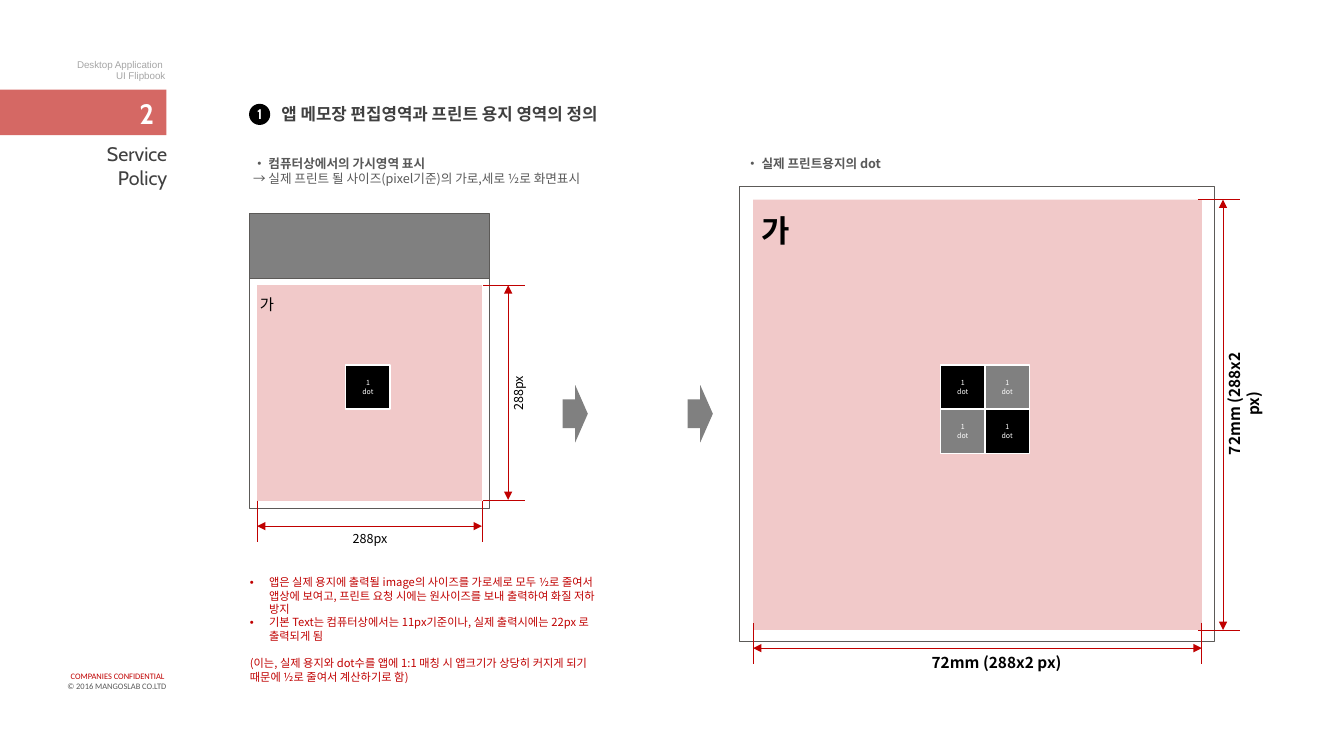
import pptx
import pptx.util
import pptx.dml.color
import pptx.enum.shapes
import pptx.enum.text
import pptx.oxml
import pptx.oxml.ns

PX = 9144
SANS = "Noto Sans CJK KR"
RED, GREY, BLACK, WHITE = "C00000", "808080", "000000", "FFFFFF"
FRAME, TEXT, DARK = "5C5A58", "595959", "404040"
SHAPES = pptx.enum.shapes.MSO_SHAPE
ALIGN = pptx.enum.text.PP_ALIGN
ANCHOR = pptx.enum.text.MSO_ANCHOR
NS = 'xmlns:a="http://schemas.openxmlformats.org/drawingml/2006/main"'


def px(*values):
    return [pptx.util.Emu(v * PX) for v in values]


def rgb(value):
    return pptx.dml.color.RGBColor.from_string(value)


def add_run(p, text, size, color, font=SANS, bold=False):
    r = p.add_run()
    r.text = text
    r.font.size = pptx.util.Pt(size)
    r.font.name = font
    r.font.bold = bold
    r.font.color.rgb = rgb(color)
    ea = pptx.oxml.parse_xml(f'<a:ea {NS} typeface="{SANS}"/>')
    r._r.rPr.find(pptx.oxml.ns.qn("a:latin")).addnext(ea)


def paragraphs(tf, count, align):
    for i in range(count):
        p = tf.paragraphs[0] if i == 0 else tf.add_paragraph()
        p.alignment = align
        yield p


def set_insets(tf, x, y):
    tf.margin_left, tf.margin_top, tf.margin_right, tf.margin_bottom = px(x, y, x, y)


def add_text(s, box, lines, align=ALIGN.LEFT, anchor=ANCHOR.TOP, insets=(0, 0),
             rotation=0, spacing=None):
    sp = s.shapes.add_textbox(*px(*box))
    sp.rotation = rotation
    tf = sp.text_frame
    tf.word_wrap = True
    tf.auto_size = pptx.enum.text.MSO_AUTO_SIZE.SHAPE_TO_FIT_TEXT
    tf.vertical_anchor = anchor
    set_insets(tf, *insets)
    for p, line in zip(paragraphs(tf, len(lines), align), lines):
        if spacing:
            p.line_spacing = pptx.util.Pt(spacing)
        add_run(p, *line)
    return tf


def add_shape(s, kind, box, fill, line=None, width=0.5, alpha=None):
    sp = s.shapes.add_shape(kind, *px(*box))
    sp.shadow.inherit = False
    sp.fill.solid()
    sp.fill.fore_color.rgb = rgb(fill)
    if alpha:
        color = sp._element.spPr.find(".//" + pptx.oxml.ns.qn("a:srgbClr"))
        color.append(pptx.oxml.parse_xml(f'<a:alpha {NS} val="{alpha * 1000}"/>'))
    if line:
        sp.line.color.rgb = rgb(line)
        sp.line.width = pptx.util.Pt(width)
    else:
        sp.line.fill.background()
    return sp


def label_shape(sp, lines, size, insets, font=SANS, bold=False):
    tf = sp.text_frame
    tf.vertical_anchor = ANCHOR.MIDDLE
    set_insets(tf, *insets)
    for p, text in zip(paragraphs(tf, len(lines), ALIGN.CENTER), lines):
        add_run(p, text, size, WHITE, font, bold)


def add_dot(s, x, y, fill):
    sp = add_shape(s, SHAPES.RECTANGLE, (x, y, 44, 44), fill, WHITE, 1)
    label_shape(sp, ["1", "dot"], 5, (10, 5))


def add_line(s, x1, y1, x2, y2, arrows=False):
    c = s.shapes.add_connector(pptx.enum.shapes.MSO_CONNECTOR.STRAIGHT, *px(x1, y1, x2, y2))
    c.line.color.rgb = rgb(RED)
    c.line.width = pptx.util.Pt(0.5)
    if arrows:
        ln = c.line._get_or_add_ln()
        for tag in ("headEnd", "tailEnd"):
            ln.append(pptx.oxml.parse_xml(f'<a:{tag} {NS} type="triangle"/>'))
    c._element.spPr.append(pptx.oxml.parse_xml(f"<a:effectLst {NS}/>"))


def add_width(s, left, right, y):
    add_line(s, left, y, right, y, True)
    for x in (left, right):
        add_line(s, x, y - 25, x, y + 16)


def add_height(s, x, top, bottom):
    add_line(s, x, bottom, x, top, True)
    for y in (bottom, top):
        add_line(s, x - 25, y, x + 17, y)


def add_caption(s, box, text, size, bold=False, align=ALIGN.CENTER, rotation=0):
    add_text(s, box, [(text, size, BLACK, SANS, bold)], align, insets=(10, 5), rotation=rotation)


def add_bullet(p):
    pPr = p._p.get_or_add_pPr()
    indent = 19 * PX
    pPr.set("marL", str(indent))
    pPr.set("indent", str(-indent))
    pPr.append(pptx.oxml.parse_xml(f'<a:buFont {NS} typeface="Arial"/>'))
    pPr.append(pptx.oxml.parse_xml(f'<a:buChar {NS} char="•"/>'))


def add_sidebar(s):
    add_shape(s, SHAPES.RECTANGLE, (0, 89, 165, 45), "D56864")
    add_text(s, (31, 95, 130, 34), [("2", 20, WHITE, "Cabin", True)],
             ALIGN.RIGHT, ANCHOR.BOTTOM, (8, 0))
    add_text(s, (-1, 666, 166, 20),
             [("COMPANIES CONFIDENTIAL ", 6, RED, "Calibri"),
              ("© 2016 MANGOSLAB CO.LTD", 6, TEXT, "Calibri")], ALIGN.RIGHT)
    add_text(s, (-1, 141, 167, 47),
             [(word, 14, DARK, "Cabin") for word in ("Service", "Policy")], ALIGN.RIGHT)
    add_text(s, (43, 59, 121, 22),
             [(text, 7, "A6A6A6", "Arial") for text in ("Desktop Application ", "UI Flipbook")],
             ALIGN.RIGHT, ANCHOR.BOTTOM, spacing=8)


def add_heading(s):
    add_text(s, (279, 103, 645, 20),
             [("앱 메모장 편집영역과 프린트 용지 영역의 정의", 12, DARK, "Arial", True)],
             anchor=ANCHOR.BOTTOM)
    badge = add_shape(s, SHAPES.OVAL, (247, 103, 21, 21), BLACK)
    label_shape(badge, ["1"], 10, (0, 0), "Cabin", True)


def add_screen(s):
    add_shape(s, SHAPES.RECTANGLE, (247, 276, 238, 228), WHITE, FRAME)
    add_shape(s, SHAPES.RECTANGLE, (247, 212, 238, 64), GREY, FRAME)
    add_width(s, 255, 478, 522)
    add_caption(s, (322, 522, 90, 25), "288px", 9)
    add_height(s, 504, 283, 496)
    add_caption(s, (468, 381, 86, 18), "288px", 9, rotation=270)
    add_shape(s, SHAPES.RECTANGLE, (255, 283, 223, 214), RED, alpha=21)
    tf = add_text(s, (251, 155, 384, 30),
                  [("• 컴퓨터상에서의 가시영역 표시 ", 9, TEXT, SANS, True)])
    p = tf.paragraphs[0]
    p.add_line_break()
    add_run(p, "→ 실제 프린트 될 사이즈(pixel기준)의 가로,세로 ½로 화면표시", 9, TEXT)
    add_dot(s, 343, 362, BLACK)
    add_caption(s, (248, 288, 62, 29), "가", 11, align=ALIGN.LEFT)


def add_paper(s):
    add_shape(s, SHAPES.RECTANGLE, (733, 185, 471, 451), WHITE, FRAME)
    add_shape(s, SHAPES.RECTANGLE, (747, 198, 445, 427), RED, alpha=21)
    add_text(s, (740, 155, 277, 15), [("• 실제 프린트용지의 dot", 9, TEXT, SANS, True)])
    add_width(s, 747, 1192, 643)
    add_caption(s, (906, 643, 165, 29), "72mm (288x2 px)", 11, True)
    add_height(s, 1213, 198, 625)
    add_caption(s, (1161, 377, 146, 47), "72mm (288x2 px)", 11, True, rotation=270)
    for row in range(2):
        for col in range(2):
            add_dot(s, 933 + 44 * col, 362 + 44 * row, BLACK if row == col else GREY)
    add_caption(s, (745, 205, 62, 47), "가", 22, True, ALIGN.LEFT)


def add_notice(s):
    lines = [
        "앱은 실제 용지에 출력될 image의 사이즈를 가로세로 모두 ½로 줄여서 앱상에 보여고, "
        "프린트 요청 시에는 원사이즈를 보내 출력하여 화질 저하 방지",
        "기본 Text는 컴퓨터상에서는 11px기준이나, 실제 출력시에는 22px 로 출력되게 됨",
        "(이는, 실제 용지와 dot수를 앱에 1:1 매칭 시 앱크기가 상당히 커지게 되기 때문에 "
        "½로 줄여서 계산하기로 함)",
    ]
    tf = add_text(s, (238, 566, 368, 118), [(line, 8, RED) for line in lines], insets=(10, 5))
    first, second, remark = tf.paragraphs
    add_bullet(first)
    add_bullet(second)
    remark.space_before = pptx.util.Pt(10)


def main():
    prs = pptx.Presentation()
    prs.slide_width, prs.slide_height = px(1333, 750)
    s = prs.slides.add_slide(prs.slide_layouts[6])
    add_sidebar(s)
    add_heading(s)
    add_screen(s)
    add_paper(s)
    add_notice(s)
    for x in (558, 682):
        add_shape(s, SHAPES.RIGHT_ARROW, (x, 382, 25, 57), GREY)
    prs.save("out.pptx")


if __name__ == "__main__":
    main()
